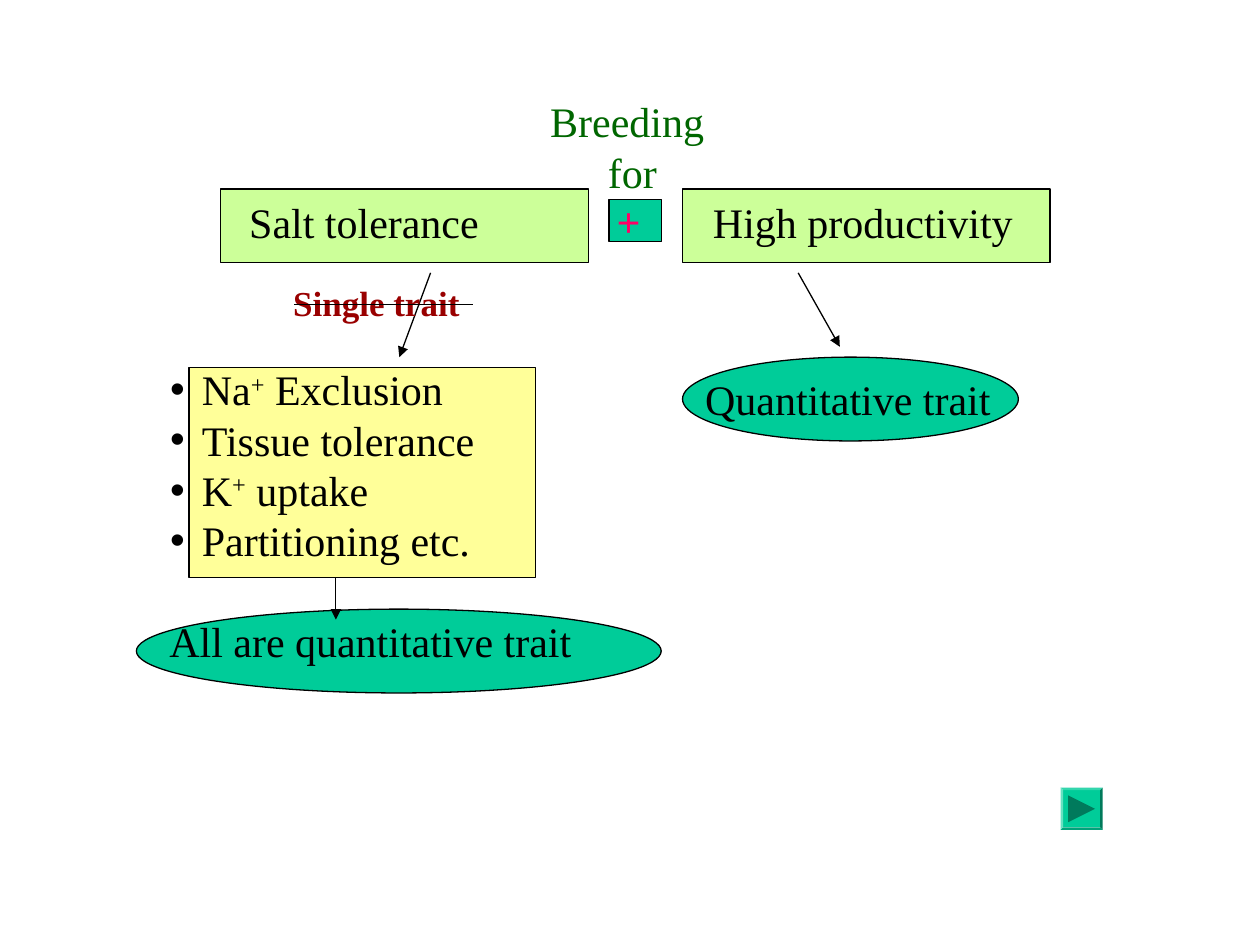
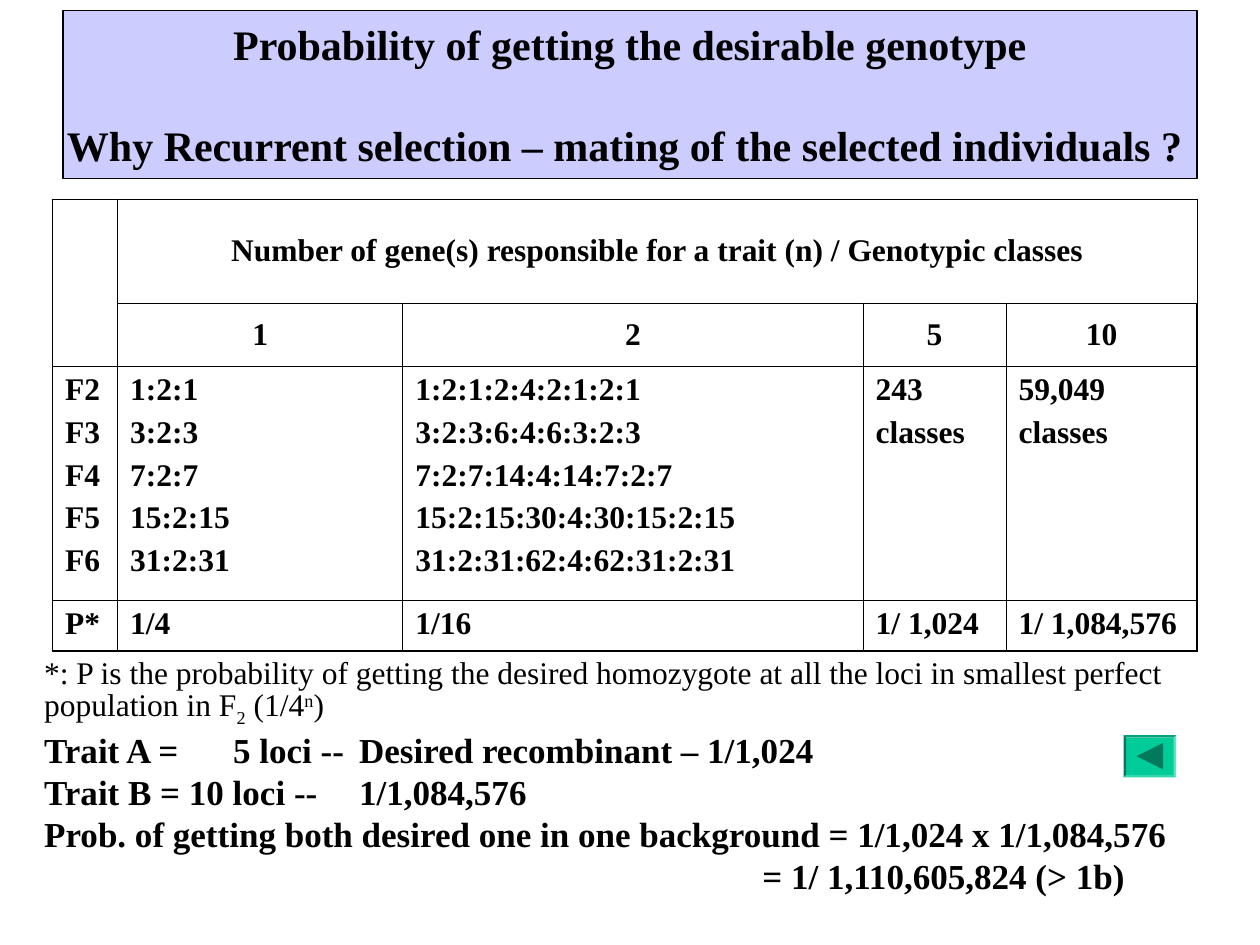
from lxml.etree import SubElement
from pptx import Presentation
from pptx.dml.color import RGBColor
from pptx.enum.shapes import MSO_CONNECTOR as Link, MSO_SHAPE as Kind
from pptx.enum.text import MSO_ANCHOR as Anchor, MSO_AUTO_SIZE as Auto, PP_ALIGN as Align
from pptx.oxml import parse_xml
from pptx.oxml.ns import nsdecls, qn
from pptx.util import Cm, Pt

FONT = "Times New Roman"
BLACK, TEAL, DARK = "000000", "00CC99", "007A5C"
LIME, YELLOW, LILAC = "CCFF99", "FFFF99", "CCCCFF"
GREEN, PINK, RED = "006600", "FF0066", "990000"
PAD = (0.25, 0.13, 0.25, 0.13)

GENES = ["1", "2", "5", "10"]
CLASSES = [
    ["F2", "F3", "F4", "F5", "F6"],
    ["1:2:1", "3:2:3", "7:2:7", "15:2:15", "31:2:31"],
    ["1:2:1:2:4:2:1:2:1", "3:2:3:6:4:6:3:2:3", "7:2:7:14:4:14:7:2:7",
     "15:2:15:30:4:30:15:2:15", "31:2:31:62:4:62:31:2:31"],
    ["243", "classes"],
    ["59,049", "classes"],
]
ODDS = ["P*", "1/4", "1/16", "1/ 1,024", "1/ 1,084,576"]


def rgb(code):
    return RGBColor.from_string(code)


def place(shape, box):
    shape.left, shape.top, shape.width, shape.height = map(Cm, box)


def write(par, runs, size, color=BLACK, bold=False, align=Align.LEFT):
    """Fill a paragraph from a string or a list of (text, baseline) pairs."""
    par.alignment = align
    for text, shift in [(runs, 0)] if isinstance(runs, str) else runs:
        run = par.add_run()
        run.text = text
        font = run.font
        font.name, font.size, font.bold = FONT, Pt(size), bold
        font.color.rgb = rgb(color)
        if shift:
            run._r.get_or_add_rPr().set("baseline", str(shift * 1000))


def space(par, size, before=0):
    par.line_spacing, par.space_before = Pt(1.2 * size), Pt(before)


def indent(par, left, first=0, bullet=True):
    props = par._p.get_or_add_pPr()
    props.set("marL", str(Cm(left)))
    props.set("indent", str(Cm(first)))
    if not bullet:
        SubElement(props, qn("a:buNone"))


def stops(par, *spots):
    tabs = SubElement(par._p.get_or_add_pPr(), qn("a:tabLst"))
    for spot in spots:
        SubElement(tabs, qn("a:tab"), pos=str(Cm(spot)), algn="l")


def setup(frame, pad=PAD, wrap=True, anchor=Anchor.TOP):
    frame.auto_size, frame.word_wrap = Auto.NONE, wrap
    frame.vertical_anchor = anchor
    (frame.margin_left, frame.margin_top,
     frame.margin_right, frame.margin_bottom) = map(Cm, pad)


def lines(frame, items):
    """Yield a paragraph of the frame with each item."""
    for i, item in enumerate(items):
        yield (frame.add_paragraph() if i else frame.paragraphs[0]), item


def paint(shape, fill, line=BLACK):
    shape.fill.solid()
    shape.fill.fore_color.rgb = rgb(fill)
    if line:
        shape.line.color.rgb = rgb(line)
        shape.line.width = Pt(0.75)
    else:
        shape.line.fill.background()


def block(slide, kind, box, fill, line=BLACK):
    shape = slide.shapes.add_shape(kind, *map(Cm, box))
    shape.shadow.inherit = False
    paint(shape, fill, line)
    return shape


def label(shape, text, right=0, low=0, color=BLACK, bold=False):
    """Centre text in the shape, pushed left and up by the two margins."""
    frame = shape.text_frame
    setup(frame, (0, 0, right, low), False, Anchor.MIDDLE)
    par = frame.paragraphs[0]
    write(par, text, 24, color, bold, Align.CENTER)
    space(par, 24)


def rule(slide, start, end, arrow=True):
    line = slide.shapes.add_connector(Link.STRAIGHT, *map(Cm, start + end))
    line.line.color.rgb = rgb(BLACK)
    line.line.width = Pt(0.75)
    if arrow:
        SubElement(line.line._get_or_add_ln(), qn("a:tailEnd"), type="triangle")
    SubElement(line._element.spPr, qn("a:effectLst"))


def button(slide, box, back=False):
    frame = block(slide, Kind.BEVEL, box, TEAL, None)
    frame.adjustments[0] = 0.06
    frame.rotation = 180 if back else 0
    left, top, wide, high = box
    x, y = left + wide / 2, top + high / 2
    tip = -0.27 if back else 0.27
    path = slide.shapes.build_freeform(Cm(x - tip), Cm(y - 0.27), 1)
    path.add_line_segments([(Cm(x + tip), Cm(y)), (Cm(x - tip), Cm(y + 0.27))])
    mark = path.convert_to_shape()
    mark.shadow.inherit = False
    paint(mark, DARK, None)


def edge(cell, sides):
    """Draw the cell's borders from pairs of side and width."""
    props = cell._tc.get_or_add_tcPr()
    for i, (side, width) in enumerate(sides):
        props.insert(i, parse_xml(
            f'<a:ln{side} {nsdecls("a")} w="{Pt(width)}"><a:solidFill>'
            f'<a:srgbClr val="{BLACK}"/></a:solidFill></a:ln{side}>'))


def grid(slide, box, wides, highs, cells):
    rows, cols = len(highs), len(wides)
    table = slide.shapes.add_table(rows, cols, *map(Cm, box)).table
    table.first_row = table.horz_banding = False
    for col, wide in zip(table.columns, wides):
        col.width = Cm(wide)
    for row, high in zip(table.rows, highs):
        row.height = Cm(high)
    for r in range(rows):
        for c in range(cols):
            cell, head = table.cell(r, c), r < 2
            cell.fill.background()
            cell.vertical_anchor = Anchor.MIDDLE if head else Anchor.TOP
            outer = (("L", c == 0), ("R", c == cols - 1),
                     ("T", r == 0), ("B", r == rows - 1))
            edge(cell, [(side, 1.08 if out else 0.45) for side, out in outer])
            for par, text in lines(cell.text_frame, cells[r][c]):
                write(par, text, 18, bold=True,
                      align=Align.CENTER if head else Align.LEFT)
                par.space_before = Pt(4.5)
    table.cell(0, 0).merge(table.cell(1, 0))
    table.cell(0, 1).merge(table.cell(0, cols - 1))


def breed(deck):
    slide = deck.slides.add_slide(deck.slide_layouts[1])
    title, traits = slide.placeholders
    place(title, (10.2, 1.8, 5.1, 2.3))
    setup(title.text_frame)
    for par, text in lines(title.text_frame, ["Breeding ", "for"]):
        write(par, text, 24, GREEN, align=Align.CENTER)
        space(par, 24)

    plus = block(slide, Kind.RECTANGLE, (12.28, 4.02, 1.06, 0.85), TEAL)
    label(plus, "+", 0.28, color=PINK, bold=True)
    every = block(slide, Kind.OVAL, (2.75, 12.28, 10.58, 1.69), TEAL)
    label(every, "All are quantitative trait", 1.14, 0.43)
    single = block(slide, Kind.OVAL, (13.76, 7.2, 6.77, 1.69), TEAL)
    label(single, "Quantitative trait", 0.1)
    block(slide, Kind.RECTANGLE, (3.81, 7.41, 6.99, 4.23), YELLOW)
    for left, text, right in ((4.45, "Salt tolerance", 1.63),
                              (13.76, "High productivity", 0.14)):
        goal = block(slide, Kind.RECTANGLE, (left, 3.81, 7.41, 1.48), LIME)
        label(goal, text, right, 0.15)

    slide.shapes._spTree.append(traits._element)
    place(traits, (3.18, 7.2, 8.9, 4.4))
    setup(traits.text_frame)
    items = [[("Na", 0), ("+", 30), (" Exclusion", 0)], "Tissue tolerance",
             [("K", 0), ("+", 30), (" uptake", 0)], "Partitioning etc."]
    for par, runs in lines(traits.text_frame, items):
        write(par, runs, 24)
        space(par, 24)
        indent(par, 0.64, -0.64)

    rule(slide, (16.09, 5.5), (16.93, 6.99))
    rule(slide, (8.68, 5.5), (8.05, 7.2))
    rule(slide, (6.77, 11.64), (6.77, 12.49))
    note = slide.shapes.add_textbox(*map(Cm, (5.66, 5.54, 3.86, 1.12))).text_frame
    setup(note, wrap=False)
    write(note.paragraphs[0], "Single trait", 20, RED, True)
    space(note.paragraphs[0], 20)
    rule(slide, (5.93, 6.14), (9.53, 6.14), arrow=False)
    button(slide, (21.38, 15.88, 0.85, 0.85))


def odds(deck):
    slide = deck.slides.add_slide(deck.slide_layouts[1])
    title, notes = slide.placeholders
    place(title, (1.27, 0.21, 22.86, 3.39))
    paint(title, LILAC)
    setup(title.text_frame, (0, 0, 0, 0), False, Anchor.MIDDLE)
    heads = [("Probability of getting the desirable genotype", 0),
             ("Why Recurrent selection – mating of the selected individuals ? ", 28.8)]
    for par, (text, gap) in lines(title.text_frame, heads):
        write(par, text, 24, bold=True, align=Align.CENTER)
        space(par, 24, gap)

    head = "Number of gene(s) responsible for a trait (n) / Genotypic classes"
    cells = [[[], [head], [], [], []],
             [[]] + [[gene] for gene in GENES],
             CLASSES,
             [[odd] for odd in ODDS]]
    grid(slide, (1.06, 4.02, 23.07, 9), (1.31, 5.75, 9.28, 2.88, 3.85),
         (2.09, 1.27, 4.72, 1.02), cells)

    place(notes, (0.64, 13.03, 23.92, 5.29))
    setup(notes.text_frame)
    text = ("*: P is the probability of getting the desired homozygote at all "
            "the loci in smallest perfect population in F")
    items = [([(text, 0), ("2", -25), (" (1/4", 0), ("n", 30), (")", 0)], 18, 0),
             ("Trait A =\t5 loci --\tDesired recombinant – 1/1,024", 20, 0),
             ("Trait B = 10 loci --\t1/1,084,576", 20, 0),
             ("Prob. of getting both desired one in one background = "
              "1/1,024 x 1/1,084,576", 20, 0),
             ("= 1/ 1,110,605,824 (> 1b)", 20, 14.48)]
    for par, (runs, size, left) in lines(notes.text_frame, items):
        write(par, runs, size, bold=size == 20)
        space(par, size)
        indent(par, left, bullet=False)
        stops(par, 3.23, 5.82)
    button(slide, (22.65, 14.82, 1.06, 0.85), back=True)


def main():
    deck = Presentation()
    deck.slide_width, deck.slide_height = Cm(25.4), Cm(19.05)
    breed(deck)
    odds(deck)
    deck.save("out.pptx")


if __name__ == "__main__":
    main()
